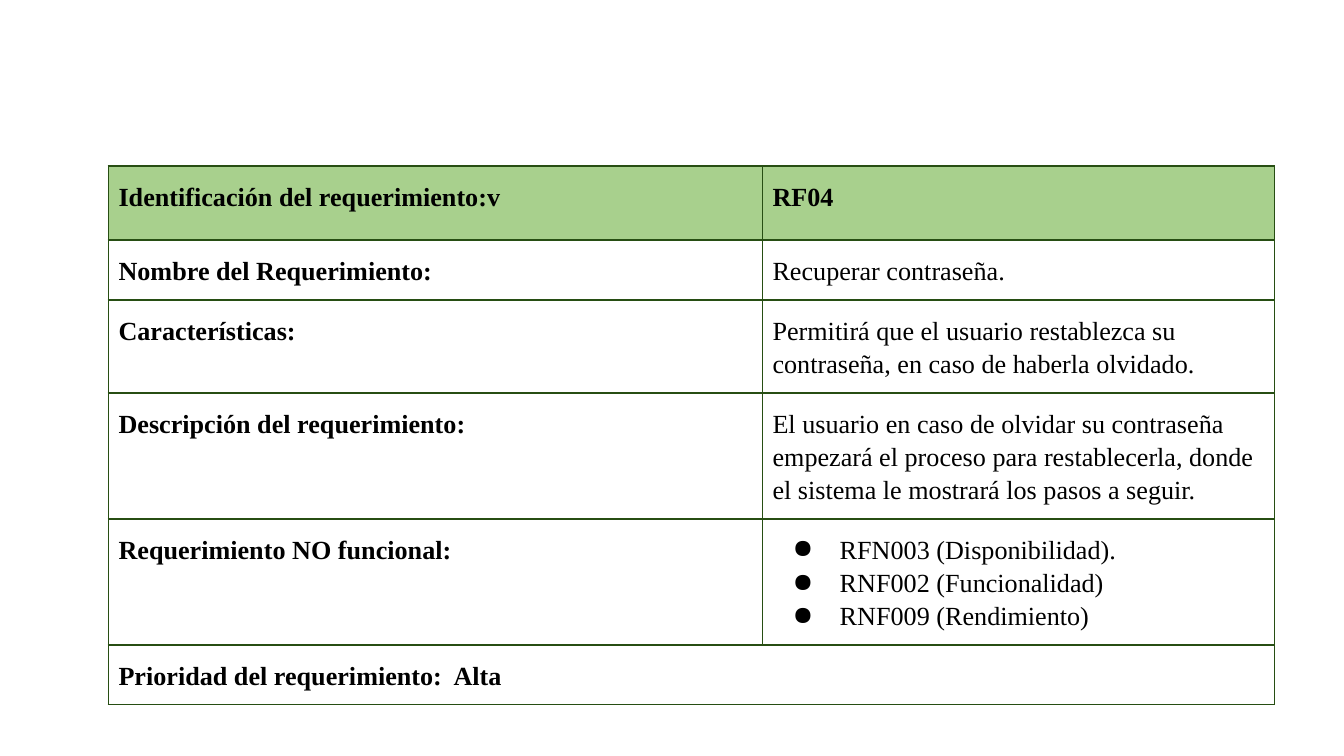
from lxml.etree import SubElement
from pptx import Presentation
from pptx.dml.color import RGBColor
from pptx.oxml.ns import qn
from pptx.util import Cm, Pt

ROWS = [
    ("Identificación del requerimiento:v", ["RF04"]),
    ("Nombre del Requerimiento:", ["Recuperar contraseña."]),
    ("Características:", [
        "Permitirá que el usuario restablezca su contraseña, "
        "en caso de haberla olvidado."]),
    ("Descripción del requerimiento:", [
        "El usuario en caso de olvidar su contraseña empezará el proceso "
        "para restablecerla, donde el sistema le mostrará los pasos a seguir."]),
    ("Requerimiento NO funcional:", [
        "RFN003 (Disponibilidad).",
        "RNF002 (Funcionalidad)",
        "RNF009 (Rendimiento)"]),
    ("Prioridad del requerimiento:  Alta", []),
]
COL_WIDTHS = [12.36, 9.68]
ROW_HEIGHTS = [1.4, 1.13, 1.75, 2.38, 2.38, 1.13]
LEFT, TOP = 2.05, 3.14

BLACK = RGBColor(0x00, 0x00, 0x00)
GREEN = RGBColor(0xA8, 0xD0, 0x8D)
DARK_GREEN = RGBColor(0x27, 0x4E, 0x13)


def add_color(parent, tag, color):
    SubElement(SubElement(parent, qn(tag)), qn("a:srgbClr"), val=str(color))


def add_bullet(p):
    pPr = p._p.get_or_add_pPr()
    pPr.set("marL", str(Cm(1.27)))
    pPr.set("indent", str(Cm(-0.89)))
    SubElement(SubElement(pPr, qn("a:buClr")), qn("a:srgbClr"), val=str(BLACK))
    SubElement(pPr, qn("a:buChar"), char="●")


def write(p, text, bold=False, bullet=False, size=14, color=BLACK):
    if bullet:
        add_bullet(p)
    p.line_spacing = 1.15
    r = p.add_run()
    r.text = text
    r.font.name = "Times New Roman"
    r.font.size = Pt(size)
    r.font.bold = bold
    r.font.color.rgb = color


def set_borders(cell, top=1, bottom=1):
    tcPr = cell._tc.get_or_add_tcPr()
    for side, width in (("L", 1), ("R", 1), ("T", top), ("B", bottom)):
        ln = SubElement(tcPr, qn("a:ln" + side), w=str(Pt(width)))
        add_color(ln, "a:solidFill", DARK_GREEN)


def fill_cell(cell, texts, row, bold):
    cell.margin_left = cell.margin_right = Cm(0.19)
    cell.margin_top = cell.margin_bottom = Cm(0.25)
    set_borders(cell, top=1.5 if row == 1 else 1, bottom=1.5 if row == 0 else 1)
    if row == 0:
        cell.fill.solid()
        cell.fill.fore_color.rgb = GREEN
    else:
        cell.fill.background()
    tf = cell.text_frame
    for i, text in enumerate(texts):
        p = tf.add_paragraph() if i else tf.paragraphs[0]
        write(p, text, bold=bold, bullet=len(texts) > 1)


def main():
    prs = Presentation()
    prs.slide_width, prs.slide_height = Cm(25.4), Cm(14.29)
    s = prs.slides.add_slide(prs.slide_layouts[6])
    table = s.shapes.add_table(
        len(ROWS), len(COL_WIDTHS), Cm(LEFT), Cm(TOP),
        Cm(sum(COL_WIDTHS)), Cm(sum(ROW_HEIGHTS))).table
    table.first_row = table.horz_banding = False
    for col, width in zip(table.columns, COL_WIDTHS):
        col.width = Cm(width)
    for row, height in zip(table.rows, ROW_HEIGHTS):
        row.height = Cm(height)
    for i, (label, values) in enumerate(ROWS):
        fill_cell(table.cell(i, 0), [label], i, True)
        fill_cell(table.cell(i, 1), values, i, i == 0)
        if not values:
            table.cell(i, 0).merge(table.cell(i, 1))
    prs.save("out.pptx")


if __name__ == "__main__":
    main()
